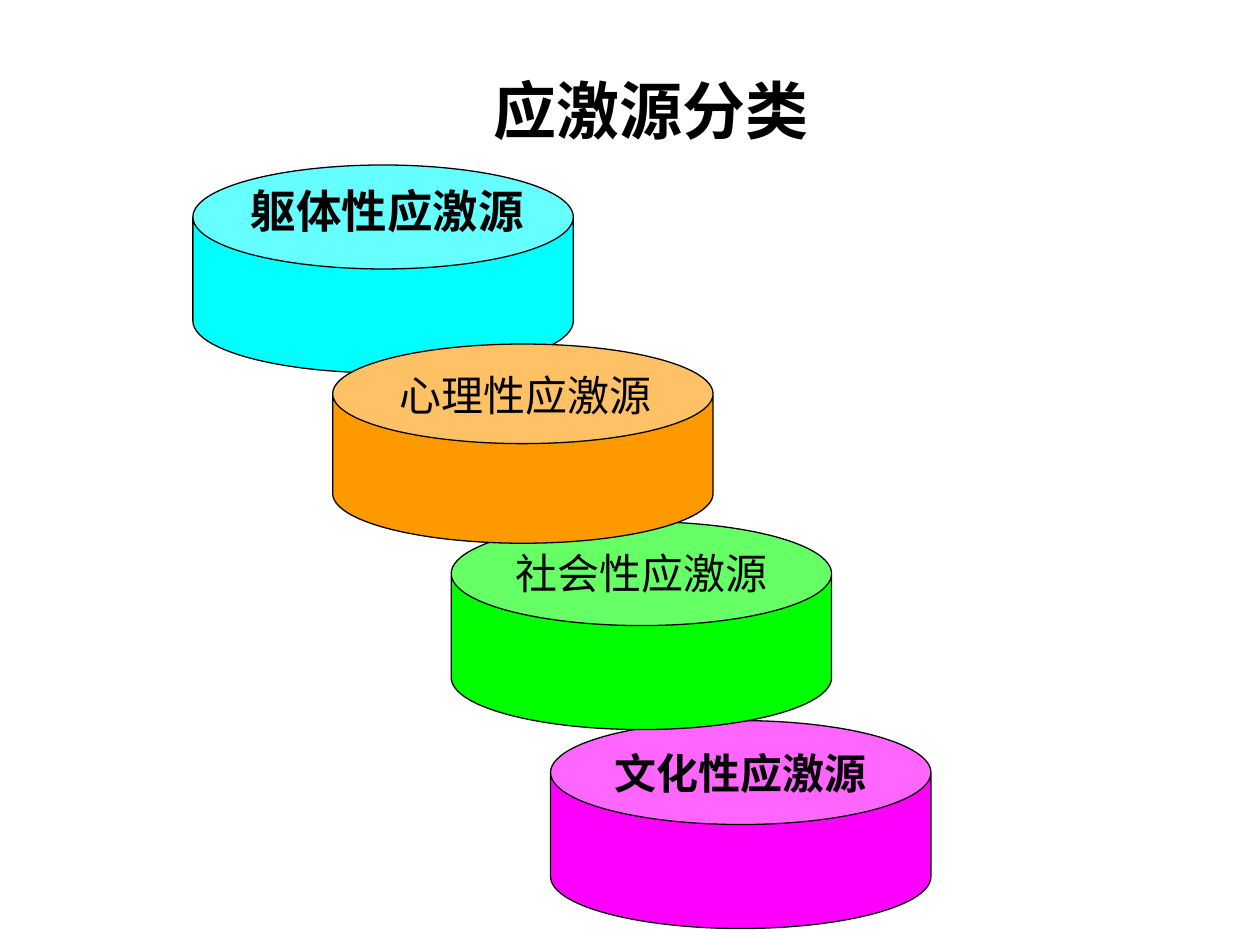
from pptx import Presentation
from pptx.dml.color import RGBColor
from pptx.enum.shapes import MSO_SHAPE
from pptx.enum.text import MSO_ANCHOR, MSO_AUTO_SIZE, PP_ALIGN
from pptx.oxml.ns import qn
from pptx.util import Pt

CAN = MSO_SHAPE.CAN
TOP = MSO_ANCHOR.TOP
GROW = MSO_AUTO_SIZE.SHAPE_TO_FIT_TEXT
LEFT, CENTER = PP_ALIGN.LEFT, PP_ALIGN.CENTER

BLACK = RGBColor(0x00, 0x00, 0x00)
CYAN = RGBColor(0x00, 0xFF, 0xFF)
ORANGE = RGBColor(0xFF, 0x99, 0x00)
GREEN = RGBColor(0x00, 0xFF, 0x00)
MAGENTA = RGBColor(0xFF, 0x00, 0xFF)

SERIF = "Times New Roman"
SANS = "Noto Sans CJK SC"
CAN_WIDTH = 217.4

# Back to front: can (left, top, height, fill), label (left, top, width), text, format
STRESSORS = [
    ((314.6, 411.8, 118.8, MAGENTA), (344.2, 423.4, 164.9),
     "文化性应激源", {"bold": True}),
    ((257.8, 298.1, 118.8, GREEN), (287.3, 309.6, 159.1), "社会性应激源", {}),
    ((110.2, 94.3, 118.8, CYAN), (136.1, 100.8, 172.1),
     "躯体性应激源", {"size": 26, "font": SANS, "bold": True}),
    ((190.1, 196.6, 113.8, ORANGE), (221, 207.4, 167.8), "心理性应激源", {}),
]


def write_text(shape, text, size=24, font=SERIF, bold=False, align=LEFT, spacing=None):
    frame = shape.text_frame
    frame.word_wrap = True
    frame.auto_size = GROW
    frame.vertical_anchor = TOP
    paragraph = frame.paragraphs[0]
    paragraph.alignment = align
    paragraph.line_spacing = spacing
    run = paragraph.add_run()
    run.text = text
    run.font.size = Pt(size)
    run.font.name = font
    run.font.bold = bold
    run.font.color.rgb = BLACK
    east_asian = run.font.color and run.font._element.makeelement(qn("a:ea"), {"typeface": SANS})
    run.font._element.find(qn("a:latin")).addnext(east_asian)


class StressorSlide:
    def __init__(self, presentation):
        self.slide = presentation.slides.add_slide(presentation.slide_layouts[5])

    def title(self, text, left, top, width, height):
        heading = self.slide.shapes.title
        heading.left, heading.top = Pt(left), Pt(top)
        heading.width, heading.height = Pt(width), Pt(height)
        write_text(heading, text, size=36, bold=True, align=CENTER, spacing=1.3)

    def can(self, group, left, top, height, fill):
        drum = group.shapes.add_shape(CAN, Pt(left), Pt(top), Pt(CAN_WIDTH), Pt(height))
        drum.adjustments[0] = 0.5
        drum.shadow.inherit = False
        drum.fill.solid()
        drum.fill.fore_color.rgb = fill
        drum.line.color.rgb = BLACK
        drum.line.width = Pt(0.75)

    def label(self, group, text, left, top, width, **text_format):
        box = group.shapes.add_textbox(Pt(left), Pt(top), Pt(width), Pt(36))
        write_text(box, text, **text_format)

    def stressor(self, can, label, text, text_format):
        """Group a can with the label on its lid."""
        group = self.slide.shapes.add_group_shape()
        self.can(group, *can)
        self.label(group, text, *label, **text_format)


def main():
    presentation = Presentation()
    presentation.slide_width, presentation.slide_height = Pt(720), Pt(540)
    page = StressorSlide(presentation)
    page.title("应激源分类", 206.6, 24.5, 331.2, 63.4)
    for stressor in STRESSORS:
        page.stressor(*stressor)
    presentation.save("out.pptx")


if __name__ == "__main__":
    main()
